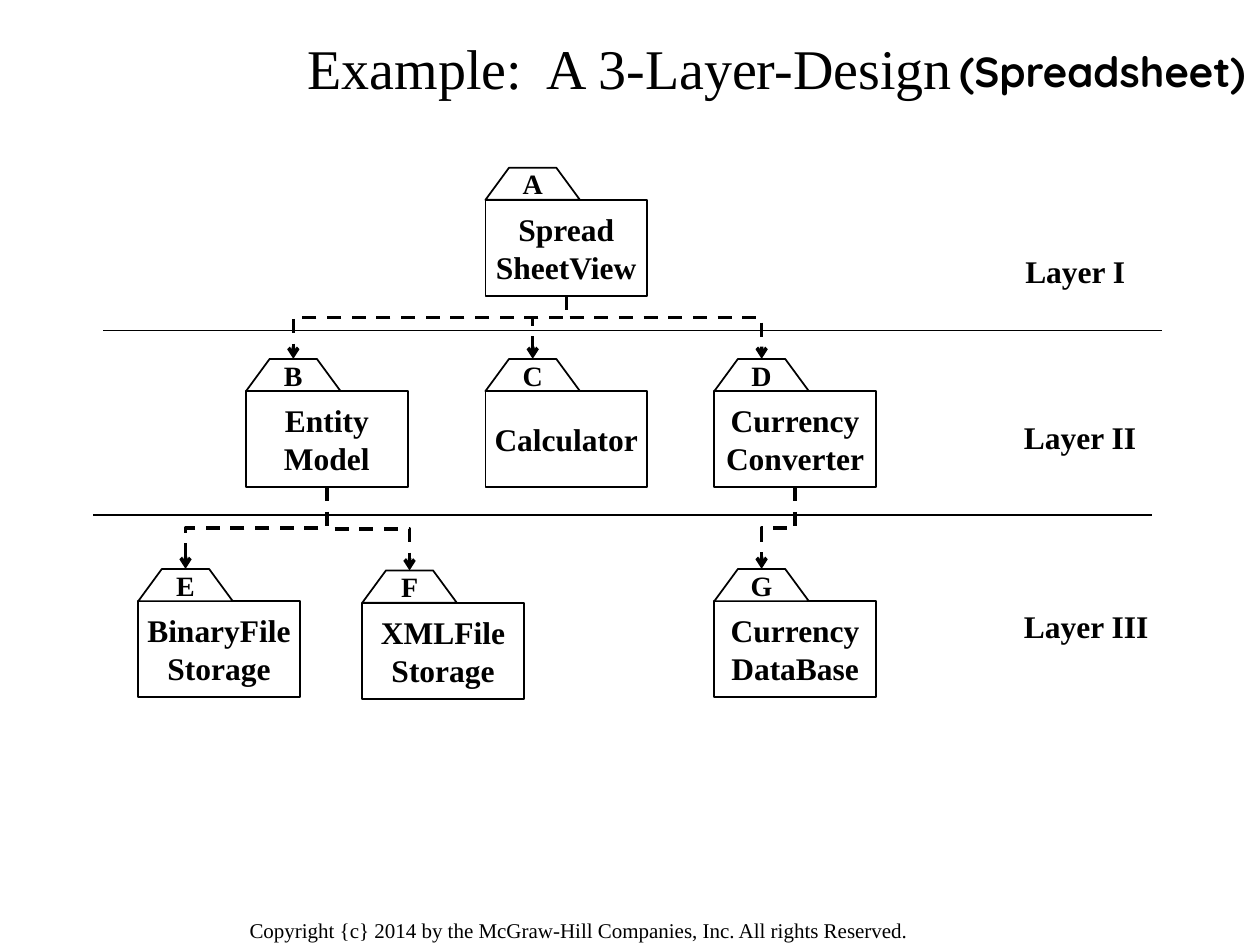
from lxml import etree
from pptx import Presentation
from pptx.dml.color import RGBColor
from pptx.enum import dml, shapes, text
from pptx.oxml import ns
from pptx.util import Pt

HEX = {"ink": "000000", "paper": "FFFFFF"}
SERIF = "Times New Roman"
TAB_W, TAB_H, SLANT = 54, 18.4, 13.5
BODY_W, BODY_H = 92.4, 55
ROW_2, ROW_3 = 205.1, 325.1
COL_B, COL_C, COL_D = 140.6, 277.4, 408.2

# letter: (left, top, name); \v breaks a line, \n a paragraph
FOLDERS = {
    "A": (COL_C, 95.8, "Spread\vSheetView"),
    "B": (COL_B, ROW_2, "Entity\nModel"),
    "C": (COL_C, ROW_2, "Calculator"),
    "D": (COL_D, ROW_2, "Currency\nConverter"),
    "E": (79, ROW_3, "BinaryFile\vStorage"),
    "F": (207, 326, "XMLFile\vStorage"),
    "G": (COL_D, ROW_3, "Currency\vDataBase"),
}
# user, used, share of the drop before the bend
USES = [("A", "B", 0.34), ("A", "C", 0.34), ("A", "D", 0.34),
        ("D", "G", 0.5), ("B", "F", 0.5), ("B", "E", 0.5)]
LABELS = [("Layer I", 578.8, 140.6, 72), ("Layer II", 578, 235.4, 78.5),
          ("Layer III", 578, 343.6, 85.7)]
DIVIDERS = [(59, 188.9), (53.2, 294.5)]


def color(key):
    return RGBColor.from_string(HEX[key])


def write(frame, words, size=18, font=SERIF, bold=True, align="CENTER",
          anchor="MIDDLE", wrap=False, grow=False):
    frame.word_wrap = wrap
    frame.vertical_anchor = getattr(text.MSO_ANCHOR, anchor)
    if grow:
        frame.auto_size = text.MSO_AUTO_SIZE.SHAPE_TO_FIT_TEXT
    frame.text = words
    for para in frame.paragraphs:
        para.alignment = getattr(text.PP_ALIGN, align)
        for run in para.runs:
            run.font.name, run.font.size = font, Pt(size)
            run.font.bold = bold
            run.font.color.rgb = color("ink")


def label(slide, words, x, y, w, h, **style):
    box = slide.shapes.add_textbox(Pt(x), Pt(y), Pt(w), Pt(h))
    write(box.text_frame, words, grow=True, **style)


def paint(shape):
    shape.shadow.inherit = False
    shape.fill.solid()
    shape.fill.fore_color.rgb = color("paper")
    shape.line.color.rgb = color("ink")
    shape.line.width = Pt(1)


def link(slide, kind, x1, y1, x2, y2, width):
    line = slide.shapes.add_connector(kind, Pt(x1), Pt(y1), Pt(x2), Pt(y2))
    line.line.color.rgb = color("ink")
    line.line.width = Pt(width)
    etree.SubElement(line._element.spPr, ns.qn("a:effectLst"))
    return line


def use(slide, user, used, bend):
    """Dashed arrow that leaves the user's foot downwards and ends on the used tab."""
    x1, y1 = user[0] + BODY_W / 2, user[1] + TAB_H + BODY_H
    x2, y2 = used[0] + TAB_W / 2, used[1]
    left = x2 < x1
    # An elbow starts sideways, so draw it lying down and turn it about its centre
    cx, cy = (x1 + x2) / 2, (y1 + y2) / 2
    long = (y2 - y1) / 2 * (1 if left else -1)
    wide = abs(x2 - x1) / 2
    line = link(slide, shapes.MSO_CONNECTOR.ELBOW,
                cx - long, cy - wide, cx + long, cy + wide, 2)
    line.line.dash_style = dml.MSO_LINE.DASH
    props = line._element.spPr
    props.find(ns.qn("a:xfrm")).set("rot", str((90 if left else 270) * 60000))
    guides = props.find(ns.qn("a:prstGeom")).find(ns.qn("a:avLst"))
    etree.SubElement(guides, ns.qn("a:gd"), name="adj1",
                     fmla=f"val {round(bend * 100000)}")
    etree.SubElement(props.find(ns.qn("a:ln")), ns.qn("a:tailEnd"), type="arrow")


def folder(slide, letter, x, y, name):
    """Package symbol: a body with a sloping tab on its top left."""
    body = slide.shapes.add_shape(shapes.MSO_SHAPE.RECTANGLE, Pt(x), Pt(y + TAB_H),
                                  Pt(BODY_W), Pt(BODY_H))
    pen = slide.shapes.build_freeform(Pt(x), Pt(y + TAB_H))
    pen.add_line_segments([(Pt(x + SLANT), Pt(y)), (Pt(x + TAB_W - SLANT), Pt(y)),
                           (Pt(x + TAB_W), Pt(y + TAB_H))], close=True)
    tab = pen.convert_to_shape()
    for shape, words, size in ((body, name, 18), (tab, letter, 16)):
        paint(shape)
        write(shape.text_frame, words, size=size)


def heading(slide, x, y, w, h):
    title = slide.shapes.title
    title.left, title.top, title.width, title.height = Pt(x), Pt(y), Pt(w), Pt(h)
    write(title.text_frame, "Example:  A 3-Layer-Design", size=32, bold=False, wrap=True)
    label(slide, "(Spreadsheet)", x + 504, y + 12.2, 180, 36, size=24, font="Quicksand")


def diagram(slide):
    for x, y in DIVIDERS:
        link(slide, shapes.MSO_CONNECTOR.STRAIGHT, x, y, x + 605, y, 1)
    for words, x, y, w in LABELS:
        label(slide, words, x, y, w, 29, align="LEFT", anchor="TOP")
    for user, used, bend in USES:
        use(slide, FOLDERS[user], FOLDERS[used], bend)
    for letter, (x, y, name) in FOLDERS.items():
        folder(slide, letter, x, y, name)


def main():
    deck = Presentation()
    deck.slide_width, deck.slide_height = Pt(720), Pt(540)
    slide = deck.slides.add_slide(deck.slide_layouts[5])
    heading(slide, 36, 10.1, 648, 56.2)
    diagram(slide)
    label(slide, "Copyright {c} 2014 by the McGraw-Hill Companies, Inc. All rights Reserved.",
          135.5, 520.5, 445.7, 22, size=12, bold=False, align="LEFT", anchor="TOP", wrap=True)
    deck.save("out.pptx")


if __name__ == "__main__":
    main()
